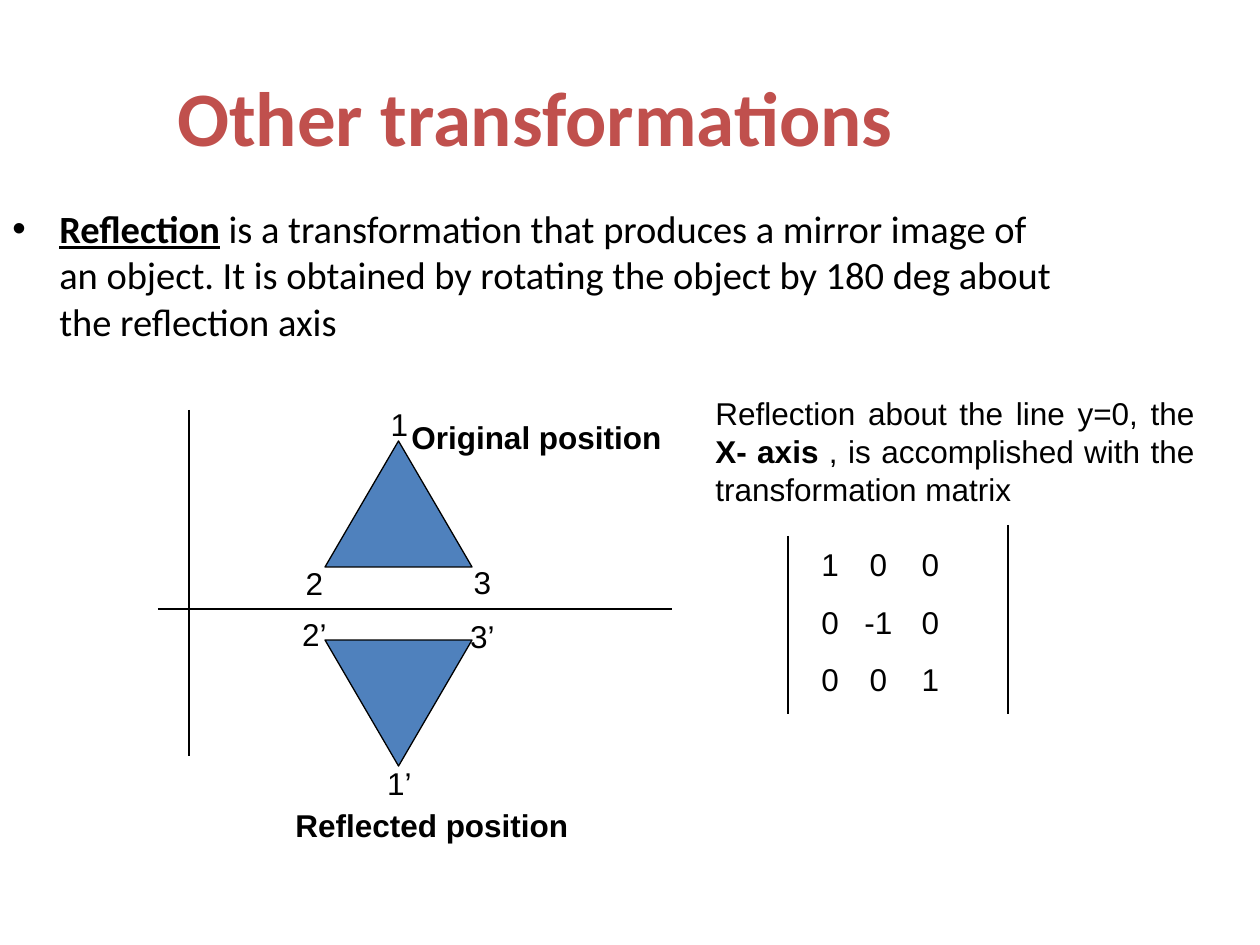
import pptx
import pptx.util
import pptx.dml.color
import pptx.enum.shapes
import pptx.enum.text
import pptx.oxml.ns
import lxml.etree
from dataclasses import dataclass

ALIGN = pptx.enum.text.PP_ALIGN
KIND = pptx.enum.shapes.MSO_SHAPE
SCALE = 914400 / 126


@dataclass(frozen=True)
class Theme:
    ink: str = "000000"
    title: str = "C0504D"
    fill: str = "4F81BD"
    head: str = "Calibri"
    font: str = "Arial"
    big: int = 44
    body: int = 22
    small: int = 18
    line: float = 0.75
    gap: float = 11.2


THEME = Theme()


def px(size):
    return pptx.util.Emu(round(size * SCALE))


def tint(code):
    return pptx.dml.color.RGBColor.from_string(code)


def child(node, tag, **attrs):
    return lxml.etree.SubElement(node, pptx.oxml.ns.qn(tag), attrs)


def add_box(slide, left, top, width, height):
    box = slide.shapes.add_textbox(px(left), px(top), px(width), px(height))
    box.text_frame.word_wrap = True
    return box.text_frame


def add_run(para, text, size=THEME.small, font=THEME.font,
            color=THEME.ink, bold=False, under=False):
    run = para.add_run()
    run.text = text
    run.font.size = pptx.util.Pt(size)
    run.font.name = font
    run.font.color.rgb = tint(color)
    run.font.bold = bold
    run.font.underline = under


def add_label(slide, text, left, top, width=63, align=ALIGN.CENTER, bold=False):
    para = add_box(slide, left, top, width, 50).paragraphs[0]
    para.alignment = align
    add_run(para, text, bold=bold)


def add_line(slide, x1, y1, x2, y2):
    line = slide.shapes.add_connector(
        pptx.enum.shapes.MSO_CONNECTOR.STRAIGHT, px(x1), px(y1), px(x2), px(y2))
    line.line.color.rgb = tint(THEME.ink)
    line.line.width = pptx.util.Pt(THEME.line)
    child(line._element.spPr, "a:effectLst")


def add_tri(slide, left, top, turn):
    tri = slide.shapes.add_shape(
        KIND.ISOSCELES_TRIANGLE, px(left), px(top), px(147), px(126))
    tri.rotation = turn
    tri.shadow.inherit = False
    tri.fill.solid()
    tri.fill.fore_color.rgb = tint(THEME.fill)
    tri.line.color.rgb = tint(THEME.ink)
    tri.line.width = pptx.util.Pt(THEME.line)


def add_title(slide, left, top, width, height):
    frame = add_box(slide, left, top, width, height)
    frame.vertical_anchor = pptx.enum.text.MSO_ANCHOR.BOTTOM
    para = frame.paragraphs[0]
    para.alignment = ALIGN.CENTER
    add_run(para, "Other transformations", THEME.big, THEME.head,
            THEME.title, bold=True)


def add_body(slide, left, top, width, height):
    para = add_box(slide, left, top, width, height).paragraphs[0]
    props = para._p.get_or_add_pPr()
    props.set("marL", str(px(47)))
    props.set("indent", str(-px(47)))
    child(child(props, "a:buClr"), "a:srgbClr", val=THEME.ink)
    child(props, "a:buFont", typeface=THEME.font)
    child(props, "a:buChar", char="•")
    look = {"size": THEME.body, "font": THEME.head}
    add_run(para, "Reflection", bold=True, under=True, **look)
    add_run(para, " ", bold=True, **look)
    add_run(para, "is a transformation that produces a mirror image of an object. "
            "It is obtained by rotating the object by 180 deg about the "
            "reflection axis", **look)


def add_graph(slide, left, top, width, height):
    axis = top + 210
    add_line(slide, left + 31, top + 11, left + 31, top + height)
    add_line(slide, left, axis, left + width, axis)
    add_tri(slide, left + 167, axis - 168, 0)
    add_tri(slide, left + 167, axis + 31, 180)
    for text, x, y in (("1", 210, 0), ("2", 125, 159), ("3", 293, 158),
                       ("3’", 293, 212), ("2’", 125, 210), ("1’", 210, 359)):
        add_label(slide, text, left + x, top + y)
    for text, x, y, wide in (("Original position", 241, 13, 399),
                             ("Reflected position", 125, 401, 315)):
        add_label(slide, text, left + x, top + y, wide, ALIGN.LEFT, True)


def add_matrix(slide, left, top, width, height):
    add_line(slide, left, top + 11, left, top + height)
    add_line(slide, left + width, top, left + width, top + height)
    frame = add_box(slide, left + 21, top + 14, 179, 166)
    rows = ((1, 0, 0), (0, -1, 0), (0, 0, 1))
    for place, row in enumerate(rows):
        para = frame.add_paragraph() if place else frame.paragraphs[0]
        if place:
            para.space_before = pptx.util.Pt(THEME.gap)
        tabs = child(para._p.get_or_add_pPr(), "a:tabLst")
        for stop in (57, 109):
            child(tabs, "a:tab", pos=str(px(stop)), algn="ctr")
        add_run(para, "\t".join(str(cell) for cell in row))


def add_note(slide, left, top, width, height):
    para = add_box(slide, left, top, width, height).paragraphs[0]
    para.alignment = ALIGN.JUSTIFY
    add_run(para, "Reflection about the line y=0, the ")
    add_run(para, "X- axis", bold=True)
    add_run(para, " , is accomplished with the transformation matrix")


def main():
    deck = pptx.Presentation()
    deck.slide_width, deck.slide_height = px(1260), px(945)
    slide = deck.slides.add_slide(deck.slide_layouts[6])
    add_title(slide, 0, 10, 1071, 158)
    add_body(slide, 0, 199, 1071, 640)
    add_graph(slide, 158, 399, 514, 357)
    add_note(slide, 703, 388, 504, 184)
    add_matrix(slide, 788, 525, 220, 189)
    deck.save("out.pptx")


if __name__ == "__main__":
    main()
